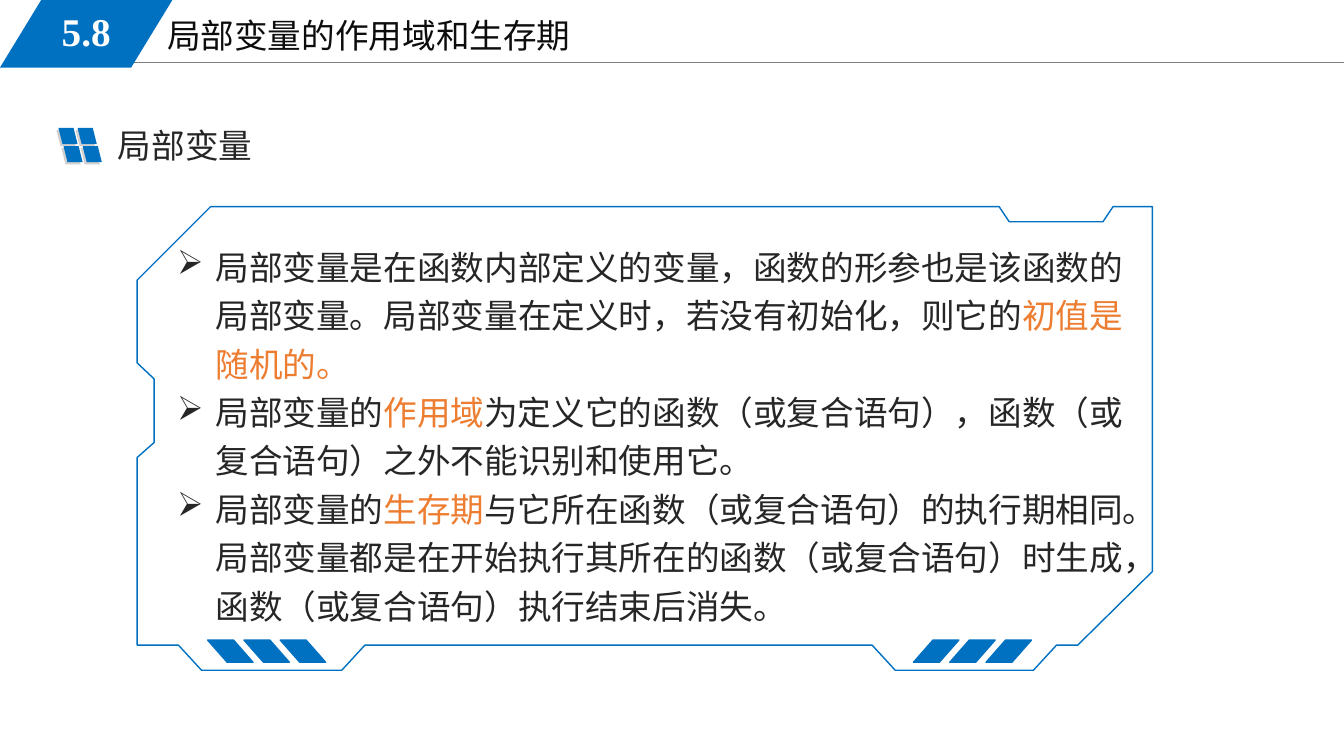
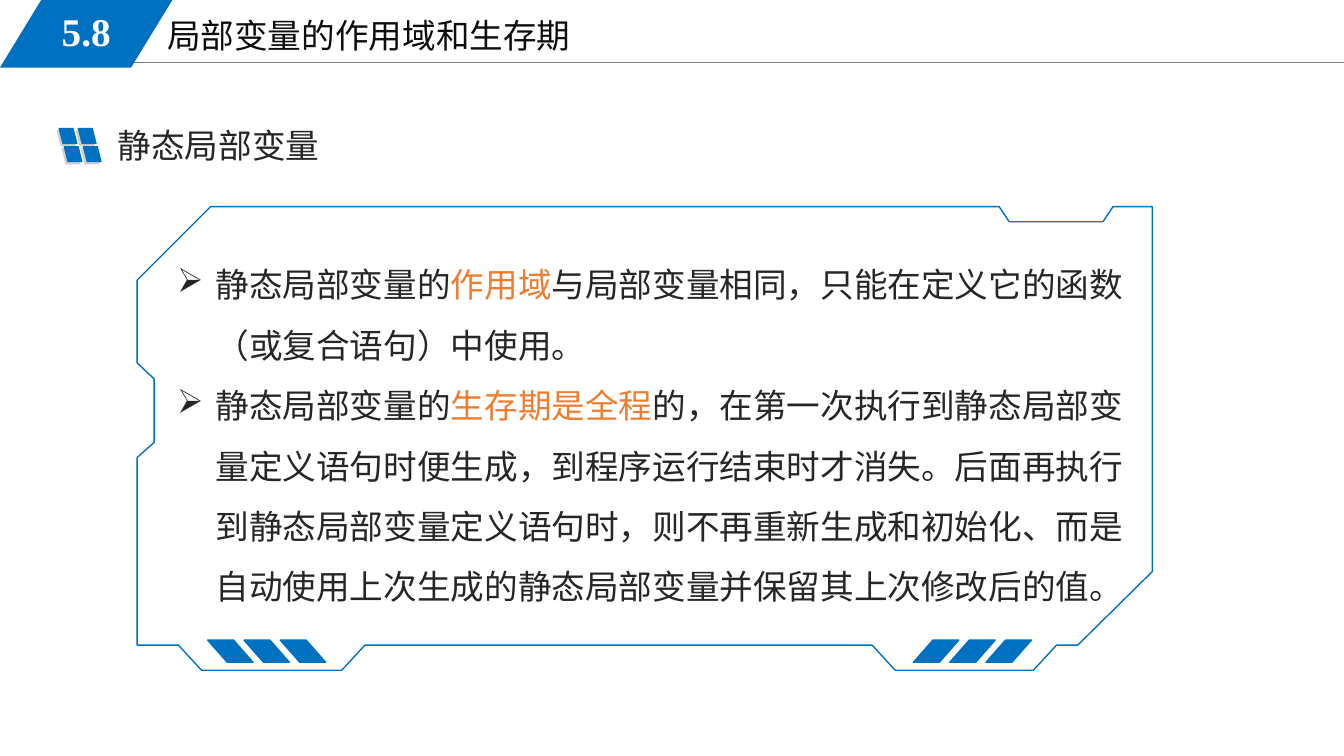
from itertools import product

from lxml import etree
from pptx import Presentation
from pptx import util as u
from pptx.dml import color
from pptx.enum import shapes, text
from pptx.oxml import ns

PX = 9144  # EMU, 100 px to the inch
BLUE, GREY, PALE = "0070C0", "808080", "D0CECE"
WHITE, BLACK, INK, ACCENT = "FFFFFF", "0D0D0D", "262626", "ED7D31"
SERIF, SANS = "Times New Roman", "Noto Sans CJK SC"

FRAME = [
    (136, 278), (209, 205), (991, 205), (1001, 220), (1094, 220),
    (1104, 205), (1143, 205), (1143, 567), (1069, 640), (1048, 640),
    (1025, 665), (888, 665), (865, 640), (362, 640), (339, 665),
    (200, 665), (177, 640), (136, 640), (136, 454), (153, 439),
    (153, 376), (136, 360),
]

# Phrases between bars are set in the accent colour.
PAGES = [
    ("局部变量", 165, (232, 394), 1.2, [
        "局部变量是在函数内部定义的变量，函数的形参也是该函数的局部变量。"
        "局部变量在定义时，若没有初始化，则它的|初值是随机的。",
        "局部变量的|作用域|为定义它的函数（或复合语句），"
        "函数（或复合语句）之外不能识别和使用它。",
        "局部变量的|生存期|与它所在函数（或复合语句）的执行期相同。"
        "局部变量都是在开始执行其所在的函数（或复合语句）时生成，"
        "函数（或复合语句）执行结束后消失。",
    ]),
    ("静态局部变量", 240, (237, 366), 1.5, [
        "静态局部变量的|作用域|与局部变量相同，"
        "只能在定义它的函数（或复合语句）中使用。",
        "静态局部变量的|生存期是全程|的，在第一次执行到静态局部变量定义语句时便生成，"
        "到程序运行结束时才消失。后面再执行到静态局部变量定义语句时，"
        "则不再重新生成和初始化、而是自动使用上次生成的静态局部变量"
        "并保留其上次修改后的值。",
    ]),
]


def px(*vals):
    return [u.Emu(v * PX) for v in vals]


def rgb(code):
    return color.RGBColor.from_string(code)


class Deck:
    def __init__(self):
        self.prs = Presentation()
        self.prs.slide_width, self.prs.slide_height = px(1333, 750)

    def page(self):
        self.slide = self.prs.slides.add_slide(self.prs.slide_layouts[6])
        self.rule(113, 62, 1333, 62)
        self.label("局部变量的作用域和生存期", 156, 9, 567, 51, SERIF, BLACK)
        self.slant(0, 0, 171, 67, 0.61)
        para = self.label("5.8", 25, 2, 121, 58, SERIF, WHITE, 28)
        para.alignment = text.PP_ALIGN.CENTER
        para.font.bold = True

    def rule(self, *ends):
        line = self.slide.shapes.add_connector(
            shapes.MSO_CONNECTOR.STRAIGHT, *px(*ends))
        line.line.color.rgb = rgb(GREY)
        line.line.width = u.Pt(0.75)
        etree.SubElement(line._element.spPr, ns.qn("a:effectLst"))

    def slant(self, x, y, w, h, adj=0.25, fill=BLUE, flip=False, edge=False):
        """Add a parallelogram; flip leans it to the left."""
        shape = self.slide.shapes.add_shape(
            shapes.MSO_SHAPE.PARALLELOGRAM, *px(x, y, w, h))
        shape.shadow.inherit = False
        shape.adjustments[0] = adj
        shape.fill.solid()
        shape.fill.fore_color.rgb = rgb(fill)
        if edge:
            shape.line.color.rgb = rgb(fill)
            shape.line.width = u.Pt(1)
        else:
            shape.line.fill.background()
        if flip:
            shape._element.spPr.xfrm.set("flipH", "1")

    def box(self, x, y, w, h):
        frame = self.slide.shapes.add_textbox(*px(x, y, w, h)).text_frame
        frame.word_wrap = True
        return frame

    def style(self, para, face, ink, size=24):
        para.font.name = face
        para.font.size = u.Pt(size)
        para.font.color.rgb = rgb(ink)
        # East Asian letters take their own face.
        base = para._p.pPr.find(ns.qn("a:defRPr"))
        base.find(ns.qn("a:latin")).addnext(
            etree.Element(ns.qn("a:ea"), typeface=SANS))

    def label(self, words, x, y, w, h, face, ink, size=24):
        frame = self.box(x, y, w, h)
        frame.vertical_anchor = text.MSO_ANCHOR.MIDDLE
        para = frame.paragraphs[0]
        para.text = words
        self.style(para, face, ink, size)
        return para

    def head(self, words, w):
        for x, y, fill in ((56, 129, PALE), (58, 127, BLUE)):
            for col, row in product(range(2), repeat=2):
                self.slant(x + 19 * col + 5 * row, y + 18 * row, 19, 16,
                           fill=fill, flip=True)
        self.label(words, 107, 119, w, 50, SANS, INK)

    def panel(self):
        pen = self.slide.shapes.build_freeform(*FRAME[0], scale=PX)
        pen.add_line_segments(FRAME[1:], close=True)
        shape = pen.convert_to_shape()
        shape.shadow.inherit = False
        shape.fill.background()
        shape.line.color.rgb = rgb(BLUE)
        shape.line.width = u.Pt(1)
        for x, flip in ((206, True), (906, False)):
            for i in range(3):
                self.slant(x + 36 * i, 635, 45, 22, 0.88, flip=flip, edge=True)

    def bullets(self, items, y, h, gap):
        frame = self.box(166, y, 967, h)
        for i, item in enumerate(items):
            para = frame.add_paragraph() if i else frame.paragraphs[0]
            props = para._p.get_or_add_pPr()
            indent = 38 * PX
            props.set("marL", str(indent))
            props.set("indent", str(-indent))
            tint = etree.SubElement(props, ns.qn("a:buClr"))
            etree.SubElement(tint, ns.qn("a:srgbClr"), val=INK)
            etree.SubElement(props, ns.qn("a:buChar"), char="➢")
            para.line_spacing = gap
            self.style(para, SANS, INK)
            for k, part in enumerate(item.split("|")):
                run = para.add_run()
                run.text = part
                if k % 2:
                    run.font.color.rgb = rgb(ACCENT)


def main():
    deck = Deck()
    for title, width, (top, height), gap, items in PAGES:
        deck.page()
        deck.bullets(items, top, height, gap)
        deck.head(title, width)
        deck.panel()
    deck.prs.save("out.pptx")


if __name__ == "__main__":
    main()
